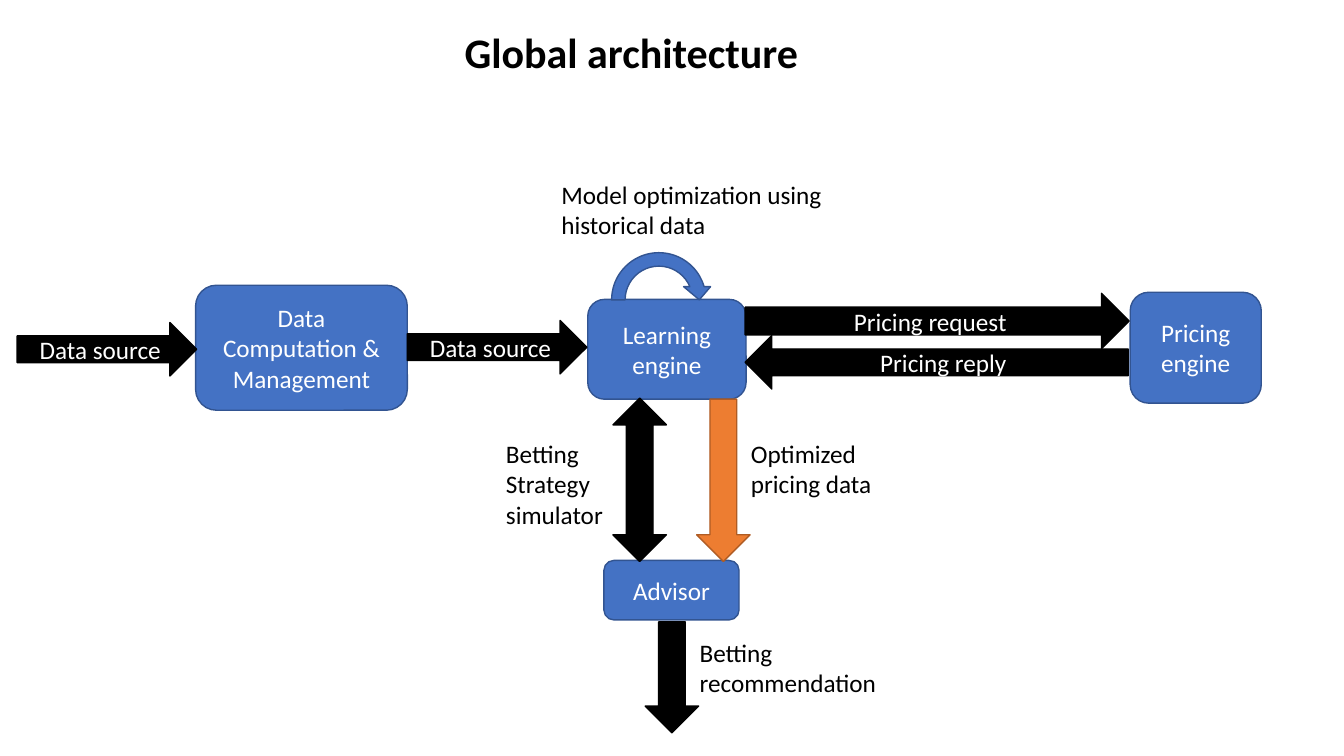
from dataclasses import dataclass

import pptx
import pptx.dml.color
import pptx.enum.shapes
import pptx.enum.text
import pptx.slide
import pptx.text.text
import pptx.util

Inches = pptx.util.Inches
Preset = pptx.enum.shapes.MSO_SHAPE
Align = pptx.enum.text.PP_ALIGN
Anchor = pptx.enum.text.MSO_ANCHOR
AutoSize = pptx.enum.text.MSO_AUTO_SIZE

BLUE, BLUE_EDGE = "4472C4", "325491"
ORANGE, ORANGE_EDGE = "ED7D31", "AF5C24"
BLACK, WHITE = "000000", "FFFFFF"


@dataclass(frozen=True)
class Block:
    preset: Preset
    left: float
    top: float
    width: float
    height: float
    text: str = ""
    fill: str = BLACK
    edge: str = BLACK


@dataclass(frozen=True)
class Label:
    left: float
    top: float
    width: float
    height: float
    text: str
    size: int = 18
    bold: bool = False


def component(left: float, top: float, width: float, height: float, text: str) -> Block:
    return Block(Preset.ROUNDED_RECTANGLE, left, top, width, height, text, BLUE, BLUE_EDGE)


COMPONENTS = [
    component(1.94, 2.83, 2.1, 1.24, "Data Computation & Management"),
    component(5.83, 2.97, 1.57, 0.99, "Learning engine"),
    component(11.21, 2.9, 1.3, 1.1, "Pricing engine"),
    component(5.99, 5.56, 1.34, 0.59, "Advisor"),
]

FLOWS = [
    Block(Preset.RIGHT_ARROW, 0.17, 3.2, 1.78, 0.53, "Data source"),
    Block(Preset.RIGHT_ARROW, 4.04, 3.18, 1.78, 0.53, "Data source"),
    Block(Preset.RIGHT_ARROW, 7.39, 2.91, 3.81, 0.55, "Pricing request"),
    Block(Preset.LEFT_ARROW, 7.39, 3.33, 3.8, 0.53, "Pricing reply"),
    Block(Preset.DOWN_ARROW, 6.91, 3.96, 0.53, 1.61, fill=ORANGE, edge=ORANGE_EDGE),
    Block(Preset.DOWN_ARROW, 6.4, 6.17, 0.53, 1.1),
    Block(Preset.UP_DOWN_ARROW, 6.08, 3.95, 0.53, 1.62),
    Block(Preset.CIRCULAR_ARROW, 6, 2.44, 1.07, 1.07, fill=BLUE, edge=BLUE_EDGE),
]

LABELS = [
    Label(4.51, 0.21, 4.68, 0.61, "Global architecture", 30, True),
    Label(5.47, 1.73, 2.93, 0.71, "Model optimization using historical data"),
    Label(7.35, 4.3, 1.6, 0.71, "Optimized pricing data"),
    Label(6.84, 6.27, 2.22, 0.71, "Betting recommendation"),
    Label(4.92, 4.3, 1.6, 1.01, "Betting Strategy simulator"),
]


def rgb(color: str) -> pptx.dml.color.RGBColor:
    return pptx.dml.color.RGBColor.from_string(color)


def write(
    frame: pptx.text.text.TextFrame,
    text: str,
    color: str,
    align: Align,
    size: int = 18,
    bold: bool = False,
) -> None:
    frame.word_wrap = True
    paragraph = frame.paragraphs[0]
    paragraph.alignment = align
    run = paragraph.add_run()
    run.text = text
    font_format = {"name": "Calibri", "size": pptx.util.Pt(size), "bold": bold}
    for attribute, value in font_format.items():
        setattr(run.font, attribute, value)
    run.font.color.rgb = rgb(color)


def draw_block(slide: pptx.slide.Slide, block: Block) -> None:
    shape = slide.shapes.add_shape(
        block.preset,
        Inches(block.left),
        Inches(block.top),
        Inches(block.width),
        Inches(block.height),
    )
    shape.shadow.inherit = False
    shape.fill.solid()
    shape.fill.fore_color.rgb = rgb(block.fill)
    shape.line.color.rgb = rgb(block.edge)
    shape.line.width = pptx.util.Pt(1)
    if block.text:
        shape.text_frame.vertical_anchor = Anchor.MIDDLE
        write(shape.text_frame, block.text, WHITE, Align.CENTER)


def draw_label(slide: pptx.slide.Slide, label: Label) -> None:
    box = slide.shapes.add_textbox(
        Inches(label.left), Inches(label.top), Inches(label.width), Inches(label.height)
    )
    box.text_frame.auto_size = AutoSize.SHAPE_TO_FIT_TEXT
    write(box.text_frame, label.text, BLACK, Align.LEFT, label.size, label.bold)


def main() -> None:
    presentation = pptx.Presentation()
    presentation.slide_width = Inches(13.33)
    presentation.slide_height = Inches(7.5)
    slide = presentation.slides.add_slide(presentation.slide_layouts[6])
    for block in COMPONENTS + FLOWS:
        draw_block(slide, block)
    for label in LABELS:
        draw_label(slide, label)
    presentation.save("out.pptx")


if __name__ == "__main__":
    main()
